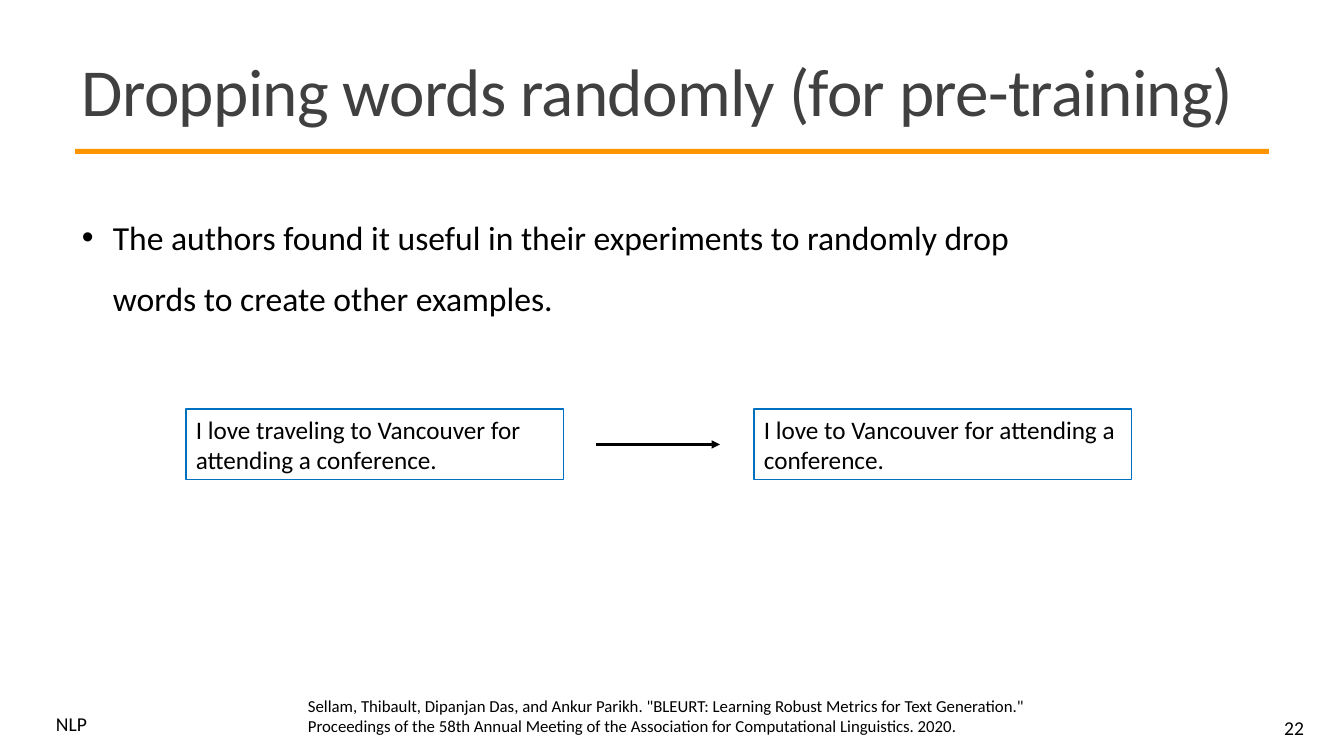
from lxml import etree
from pptx import Presentation
from pptx.dml.color import RGBColor
from pptx.enum.shapes import MSO_CONNECTOR as CONN, MSO_SHAPE as SHAPE
from pptx.enum.text import MSO_ANCHOR as ANCHOR, PP_ALIGN as ALIGN
from pptx.oxml.ns import qn
from pptx.util import Pt

SCALE = 914400 / 100.8
BLACK, GREY, BLUE, ORANGE = "000000", "404040", "0070C0", "FF9400"


def px(*lengths):
    return [round(n * SCALE) for n in lengths]


def rgb(value):
    return RGBColor.from_string(value)


def write(sp, text, size, color=BLACK, frame=None, para=None):
    tf = sp.text_frame
    p = tf.paragraphs[0]
    r = p.add_run()
    r.text = text
    frame_format = {"word_wrap": True, "vertical_anchor": ANCHOR.TOP, **(frame or {})}
    para_format = {"alignment": ALIGN.LEFT, **(para or {})}
    font_format = {"name": "Calibri", "size": Pt(size)}
    for target, values in ((tf, frame_format), (p, para_format), (r.font, font_format)):
        for name, value in values.items():
            setattr(target, name, value)
    r.font.color.rgb = rgb(color)
    return p


def add_text(s, box, text, size, **formats):
    return write(s.shapes.add_textbox(*px(*box)), text, size, **formats)


def add_rect(s, box):
    sp = s.shapes.add_shape(SHAPE.RECTANGLE, *px(*box))
    sp.shadow.inherit = False
    return sp


def add_header(s, x, y, w, h):
    rule = add_rect(s, (x + 3, y + 110, w - 10, 5))
    rule.fill.solid()
    rule.fill.fore_color.rgb = rgb(ORANGE)
    rule.line.fill.background()
    p = add_text(s, (x, y, w, h), "Dropping words randomly (for pre-training)", 48,
                 color=GREY, frame={"vertical_anchor": ANCHOR.MIDDLE},
                 para={"line_spacing": 0.85})
    p.runs[0].font._element.set("spc", "-50")


def add_finding(s, x, y, w, h):
    p = add_text(s, (x, y, w, h),
                 "The authors found it useful in their experiments to randomly drop "
                 "words to create other examples.", 24, para={"line_spacing": 1.5})
    pPr = p._p.get_or_add_pPr()
    indent = px(31)[0]
    pPr.set("marL", str(indent))
    pPr.set("indent", str(-indent))
    etree.SubElement(pPr, qn("a:buFont")).set("typeface", "Arial")
    etree.SubElement(pPr, qn("a:buChar")).set("char", "•")


def add_example(s, x, y, w, h):
    box_w = 378
    sentences = ("I love traveling to Vancouver for attending a conference.",
                 "I love to Vancouver for attending a conference.")
    for left, sentence in zip((x, x + w - box_w), sentences):
        sp = add_rect(s, (left, y, box_w, h))
        sp.fill.background()
        sp.line.color.rgb = rgb(BLUE)
        sp.line.width = Pt(0.75)
        write(sp, sentence, 18)
    start, mid = x + box_w + 32, y + h / 2
    arrow = s.shapes.add_connector(CONN.STRAIGHT, *px(start, mid, start + 124, mid))
    arrow.line.color.rgb = rgb(BLACK)
    arrow.line.width = Pt(1.5)
    etree.SubElement(arrow.line._get_or_add_ln(), qn("a:tailEnd")).set("type", "triangle")
    etree.SubElement(arrow._element.spPr, qn("a:effectLst"))


def add_footer(s, x, y, w, h):
    add_text(s, (x, y + 20, 61, 29), "NLP", 14, para={"line_spacing": 0.8})
    add_text(s, (x + 252, y, 747, h),
             "Sellam, Thibault, Dipanjan Das, and Ankur Parikh. \"BLEURT: Learning Robust "
             "Metrics for Text Generation.\" Proceedings of the 58th Annual Meeting of the "
             "Association for Computational Linguistics. 2020.", 12)
    add_text(s, (x + w - 144, y + 17, 144, 40), "22", 14,
             frame={"vertical_anchor": ANCHOR.MIDDLE}, para={"alignment": ALIGN.RIGHT})


def main():
    prs = Presentation()
    prs.slide_width, prs.slide_height = px(1344, 756)
    s = prs.slides.add_slide(prs.slide_layouts[6])
    add_header(s, 72, 39, 1204, 114)
    add_finding(s, 72, 192, 971, 126)
    add_example(s, 186, 409, 946, 71)
    add_footer(s, 46, 691, 1268, 50)
    prs.save("out.pptx")


if __name__ == "__main__":
    main()
